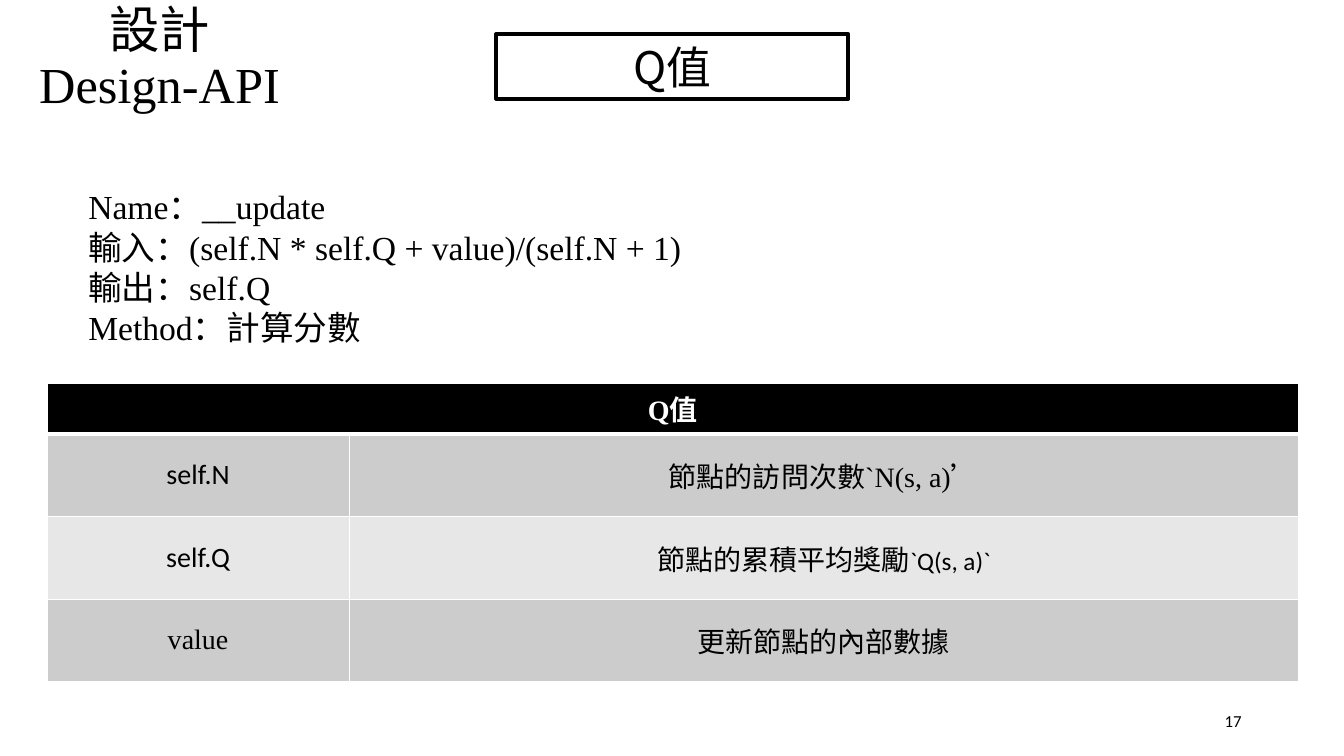
from typing import NamedTuple

from lxml import etree
from pptx import Presentation
from pptx.dml.color import RGBColor
from pptx.enum.shapes import MSO_SHAPE
from pptx.enum.text import MSO_ANCHOR, MSO_AUTO_SIZE, PP_ALIGN
from pptx.oxml.ns import qn
from pptx.util import Pt

LEFT, CENTER, RIGHT = PP_ALIGN.LEFT, PP_ALIGN.CENTER, PP_ALIGN.RIGHT
TOP, MIDDLE = MSO_ANCHOR.TOP, MSO_ANCHOR.MIDDLE
RECTANGLE = MSO_SHAPE.RECTANGLE
NO_AUTOFIT = MSO_AUTO_SIZE.NONE

COLORS = {"black": "000000", "white": "FFFFFF", "dark": "CCCCCC", "light": "E7E7E7"}
TIMES, CALIBRI, NOTO = "Times New Roman", "Calibri", "Noto Sans CJK SC"


class Piece(NamedTuple):
    text: str
    font: str = TIMES
    size: float = 20


class Row(NamedTuple):
    name: Piece
    meaning: list[Piece]
    fill: str


def rgb(color: str) -> RGBColor:
    return RGBColor.from_string(COLORS[color])


def write(frame, paragraphs: list[list[Piece]], *, color: str = "black", bold: bool = False,
          align=LEFT, anchor=TOP, spacing: float = 1.0) -> None:
    """Fill a text frame; a vertical tab in a piece is a line break."""
    frame.word_wrap = True
    frame.vertical_anchor = anchor
    for index, pieces in enumerate(paragraphs):
        paragraph = frame.paragraphs[0] if index == 0 else frame.add_paragraph()
        paragraph.alignment = align
        paragraph.line_spacing = spacing
        for piece in pieces:
            for number, line in enumerate(piece.text.split("\v")):
                if number:
                    paragraph.add_line_break()
                run = paragraph.add_run()
                run.text = line
                run.font.name, run.font.size = piece.font, Pt(piece.size)
                run.font.bold = bold
                run.font.color.rgb = rgb(color)


def set_borders(cell, bottom: float = 1) -> None:
    properties = cell._tc.get_or_add_tcPr()
    widths = {"a:lnL": 1, "a:lnR": 1, "a:lnT": 1, "a:lnB": bottom}
    for position, (tag, width) in enumerate(widths.items()):
        line = etree.Element(qn(tag), w=str(Pt(width)))
        fill = etree.SubElement(line, qn("a:solidFill"))
        etree.SubElement(fill, qn("a:srgbClr"), val=COLORS["white"])
        properties.insert(position, line)


def fill_cell(cell, pieces: list[Piece], fill: str, *, bottom: float = 1,
              color: str = "black", bold: bool = False) -> None:
    cell.fill.solid()
    cell.fill.fore_color.rgb = rgb(fill)
    set_borders(cell, bottom)
    cell.vertical_anchor = MIDDLE
    write(cell.text_frame, [pieces], color=color, bold=bold, align=CENTER, anchor=MIDDLE)


presentation = Presentation()
presentation.slide_width, presentation.slide_height = Pt(960), Pt(540)
slide = presentation.slides.add_slide(presentation.slide_layouts[5])
shapes = slide.shapes

# Title
title = shapes.title
title.left, title.top, title.width, title.height = Pt(0), Pt(0), Pt(228), Pt(85.5)
title.text_frame.auto_size = NO_AUTOFIT
write(title.text_frame, [[Piece("設計\vDesign-API", size=36)]],
      align=CENTER, anchor=MIDDLE, spacing=0.9)

# Framed topic
topic = shapes.add_shape(RECTANGLE, Pt(354.5), Pt(24.5), Pt(251.5), Pt(46))
topic.shadow.inherit = False
topic.fill.background()
topic.line.color.rgb = rgb("black")
topic.line.width = Pt(3)
write(topic.text_frame, [[Piece("Q值", NOTO, 32)]], align=CENTER)

# Variable table
ROWS = [
    Row(Piece("self.N", CALIBRI), [Piece("節點的訪問次數`N(s, a)’")], "dark"),
    Row(Piece("self.Q", CALIBRI),
        [Piece("節點的累積平均獎勵"), Piece("`Q(s, a)`", CALIBRI, 18)], "light"),
    Row(Piece("value"), [Piece("更新節點的內部數據")], "dark"),
]
HEADER_HEIGHT, ROW_HEIGHT = 33, 59
COLUMN_WIDTHS = (216, 678)
variables = shapes.add_table(
    len(ROWS) + 1, len(COLUMN_WIDTHS), Pt(33.5), Pt(273.75),
    Pt(sum(COLUMN_WIDTHS)), Pt(HEADER_HEIGHT + ROW_HEIGHT * len(ROWS))).table
for column, width in zip(variables.columns, COLUMN_WIDTHS):
    column.width = Pt(width)
variables.rows[0].height = Pt(HEADER_HEIGHT)
variables.cell(0, 0).merge(variables.cell(0, 1))
for column, pieces in enumerate(([Piece("Q值")], [])):
    fill_cell(variables.cell(0, column), pieces, "black", bottom=3, color="white", bold=True)
for index, row in enumerate(ROWS, start=1):
    variables.rows[index].height = Pt(ROW_HEIGHT)
    fill_cell(variables.cell(index, 0), [row.name], row.fill)
    fill_cell(variables.cell(index, 1), row.meaning, row.fill)

# Method description
METHOD_LINES = (
    "Name：__update",
    "輸入：(self.N * self.Q + value)/(self.N + 1)",
    "輸出：self.Q",
    "Method：計算分數",
)
method = shapes.add_textbox(Pt(56), Pt(129.5), Pt(680.5), Pt(124))
write(method.text_frame, [[Piece(line, size=24)] for line in METHOD_LINES])

# Page number
page_number = shapes.add_textbox(Pt(678), Pt(500.5), Pt(216), Pt(28.75))
write(page_number.text_frame, [[Piece("17", CALIBRI, 12)]], align=RIGHT, anchor=MIDDLE)

presentation.save("out.pptx")
